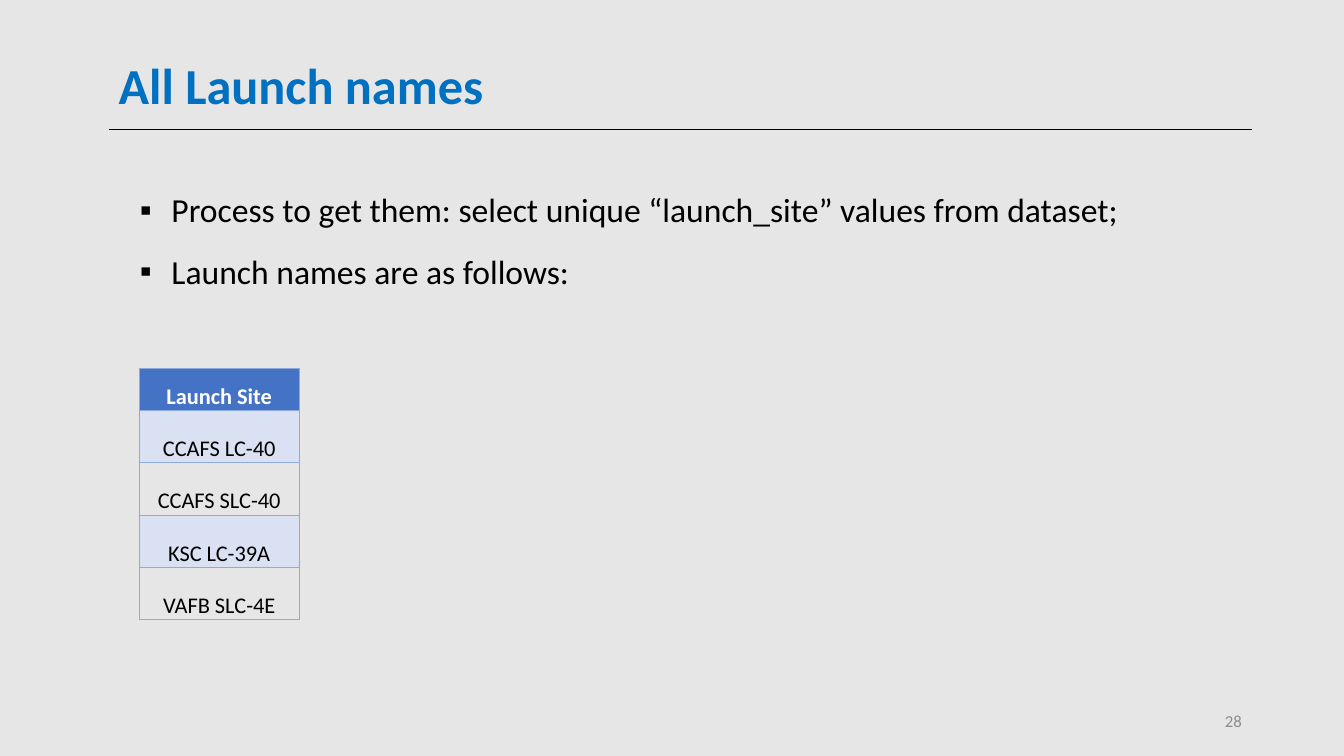
from pptx import Presentation
from pptx.dml.color import RGBColor as Rgb
from pptx.enum.shapes import MSO_CONNECTOR as Connector
from pptx.enum.text import MSO_ANCHOR as Anchor, PP_ALIGN as Align
from pptx.oxml import parse_xml
from pptx.oxml.ns import nsdecls
from pptx.util import Pt

TITLE = "All Launch names"
BULLETS = [
    "Process to get them: select unique “launch_site” values from dataset;",
    "Launch names are as follows:",
]
SITES = ["Launch Site", "CCAFS LC-40", "CCAFS SLC-40", "KSC LC-39A", "VAFB SLC-4E"]
PAGE_NUMBER = "28"

COLORS = {
    "background": "E7E6E6", "title": "0070C0", "text": "000000", "number": "8C8C8C",
    "header": "4472C4", "header_text": "FFFFFF", "band": "D9E1F2", "border": "8EA9DB",
}
FONT = "Calibri"
TITLE_BOX = (77.76, 19.44, 853.92, 66.24)
NUMBER_BOX = (678.24, 500.4, 216, 28.8)
RULE = (77.76, 92.16, 894.24, 92.16)
BULLET_BOX = (92.88, 131.76, 726.48, 36)
BULLET_STEP = 43.92
BULLET_INDENT = 22.5
TABLE_BOX = (99.36, 262.8, 114.48)
HEADER_HEIGHT, ROW_HEIGHT = 30.24, 37.44


def rgb(name):
    """Return the named colour."""
    return Rgb.from_string(COLORS[name])


def apply(target, **values):
    """Set each given attribute on the target."""
    for name, value in values.items():
        setattr(target, name, value)


def write(frame, text, size, color, bold=False, align=Align.LEFT):
    """Write one formatted paragraph and return it."""
    para = frame.paragraphs[0]
    para.alignment = align
    span = para.add_run()
    span.text = text
    apply(span.font, name=FONT, size=Pt(size), bold=bold)
    span.font.color.rgb = rgb(color)
    return para


def add_text(page, area, anchor, *style, **options):
    """Add a wrapping text box and return its paragraph."""
    frame = page.shapes.add_textbox(*map(Pt, area)).text_frame
    apply(frame, word_wrap=True, vertical_anchor=anchor)
    return write(frame, *style, **options)


def add_bullets(page):
    """Add the bullet lines at equal steps."""
    left, top, width, height = BULLET_BOX
    for index, text in enumerate(BULLETS):
        area = (left, top + index * BULLET_STEP, width, height)
        props = add_text(page, area, Anchor.TOP, text, 24, "text")._p.get_or_add_pPr()
        props.set("marL", str(Pt(BULLET_INDENT)))
        props.set("indent", str(-Pt(BULLET_INDENT)))
        for mark in ('buFont {} typeface="Arial"', 'buChar {} char="▪"'):
            props.append(parse_xml(f"<a:{mark.format(nsdecls('a'))}/>"))


def add_rule(page):
    """Draw the line below the title."""
    rule = page.shapes.add_connector(Connector.STRAIGHT, *map(Pt, RULE))
    rule.line.width = Pt(0.5)
    rule.line.color.rgb = rgb("text")
    rule._element.spPr.append(parse_xml(f"<a:effectLst {nsdecls('a')}/>"))


def add_borders(cell):
    """Draw thin lines on all four sides of a cell."""
    for side in "LRTB":
        cell._tc.get_or_add_tcPr().append(parse_xml(
            f'<a:ln{side} {nsdecls("a")} w="{Pt(0.5)}"><a:solidFill>'
            f'<a:srgbClr val="{COLORS["border"]}"/></a:solidFill></a:ln{side}>'))


def add_sites(page):
    """Add the table of launch sites."""
    height = HEADER_HEIGHT + ROW_HEIGHT * (len(SITES) - 1)
    table = page.shapes.add_table(len(SITES), 1, *map(Pt, (*TABLE_BOX, height))).table
    apply(table, first_row=False, horz_banding=False)
    for index, site in enumerate(SITES):
        header = index == 0
        table.rows[index].height = Pt(HEADER_HEIGHT if header else ROW_HEIGHT)
        cell = table.cell(index, 0)
        apply(cell, vertical_anchor=Anchor.BOTTOM, margin_left=Pt(0.75),
              margin_right=Pt(0.75), margin_top=Pt(0.75), margin_bottom=0)
        write(cell.text_frame, site, 16, "header_text" if header else "text",
              header, Align.CENTER)
        add_borders(cell)
        if header or index % 2:
            cell.fill.solid()
            cell.fill.fore_color.rgb = rgb("header" if header else "band")
        else:
            cell.fill.background()


def main():
    """Build and save the slide."""
    deck = Presentation()
    apply(deck, slide_width=Pt(960), slide_height=Pt(540))
    page = deck.slides.add_slide(deck.slide_layouts[6])
    page.background.fill.solid()
    page.background.fill.fore_color.rgb = rgb("background")
    title = add_text(page, TITLE_BOX, Anchor.BOTTOM, TITLE, 36, "title", bold=True)
    title.line_spacing = 0.9
    add_text(page, NUMBER_BOX, Anchor.MIDDLE, PAGE_NUMBER, 12, "number", align=Align.RIGHT)
    add_rule(page)
    add_bullets(page)
    add_sites(page)
    deck.save("out.pptx")


if __name__ == "__main__":
    main()
